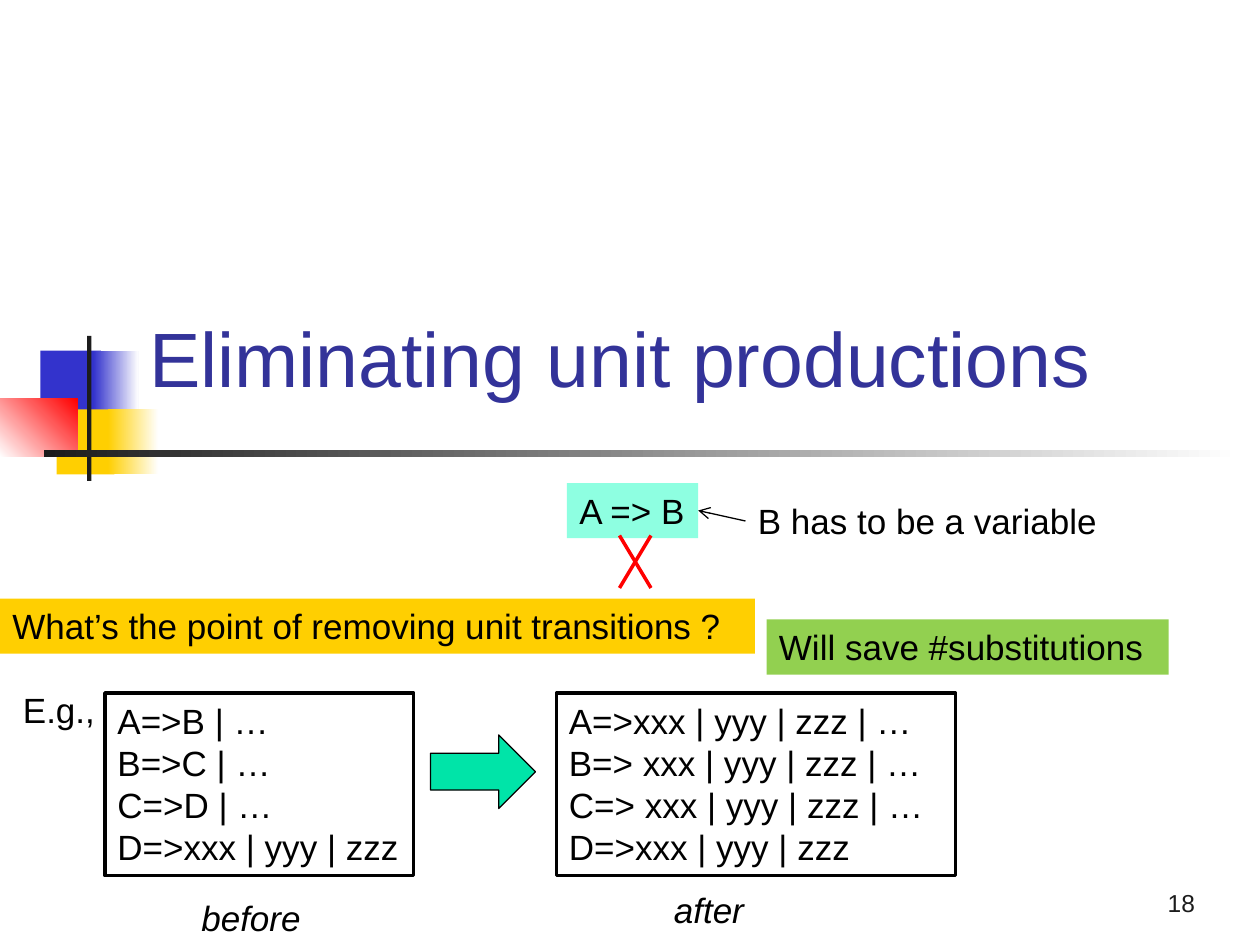
from lxml.etree import SubElement
from pptx import Presentation
from pptx.dml.color import RGBColor
from pptx.enum.shapes import MSO_CONNECTOR as Connector, MSO_SHAPE as Shape
from pptx.enum.text import MSO_ANCHOR as Anchor, MSO_AUTO_SIZE as AutoSize, PP_ALIGN as Align
from pptx.oxml.ns import qn
from pptx.util import Inches, Pt

# Grid of 120 columns by 90 rows, twelve to the inch
CELL = Inches(1) / 12
LINE_ROWS = 5.25  # height of a one-line label
TITLE_ONLY = 5
BLACK, WHITE, DARK = "000000", "FFFFFF", "1C1C1C"
BLUE, GOLD, RED = "3333CC", "FFCF01", "FF0000"


def color(hex_value):
    return RGBColor.from_string(hex_value)


def grid(*cells):
    return [round(cell * CELL) for cell in cells]


def paint(shape, fill, outline=None, width=0.75):
    """Fill with one colour, or with a (start, end, angle) gradient."""
    if isinstance(fill, tuple):
        *ends, angle = fill
        shape.fill.gradient()
        shape.fill.gradient_angle = angle
        for stop, end in zip(shape.fill.gradient_stops, ends):
            stop.color.rgb = color(end)
    elif fill:
        shape.fill.solid()
        shape.fill.fore_color.rgb = color(fill)
    if outline:
        shape.line.color.rgb = color(outline)
        shape.line.width = Pt(width)
    else:
        shape.line.fill.background()


def add_block(slide, box, fill, kind=Shape.RECTANGLE, outline=None):
    block = slide.shapes.add_shape(kind, *grid(*box))
    block.shadow.inherit = False
    paint(block, fill, outline)


def write(frame, lines, size=20, ink=BLACK, italic=False,
          align=Align.LEFT, anchor=Anchor.TOP):
    frame_format = {"word_wrap": True, "auto_size": AutoSize.NONE,
                    "vertical_anchor": anchor}
    for name, value in frame_format.items():
        setattr(frame, name, value)
    frame.text = "\n".join(lines)
    font_format = {"name": "Arial", "size": Pt(size), "italic": italic, "bold": False}
    for paragraph in frame.paragraphs:
        paragraph.alignment = align
        font = paragraph.runs[0].font
        for name, value in font_format.items():
            setattr(font, name, value)
        font.color.rgb = color(ink)


def add_label(slide, box, *lines, fill=None, outline=None, **text_format):
    label = slide.shapes.add_textbox(*grid(*box))
    paint(label, fill, outline, width=2)
    write(label.text_frame, lines, **text_format)
    if text_format.get("align") != Align.RIGHT:
        label.text_frame.margin_right = 0  # room for tightly fitted lines
    return label


def add_line(slide, ends, ink, width):
    line = slide.shapes.add_connector(Connector.STRAIGHT, *grid(*ends))
    line.line.color.rgb = color(ink)
    line.line.width = Pt(width)
    SubElement(line._element.spPr, qn("a:effectLst"))
    return line


def add_decoration(slide):
    # Overlapping squares, then the two dark rules
    for box, fill in (
        ((3.84, 33.4, 5.76, 6.2), BLUE),
        ((8.9, 33.4, 4.3, 6.2), (BLUE, WHITE, 0)),
        ((5.4, 39, 5.5, 6.2), GOLD),
        ((10.3, 39, 4.8, 6.2), (GOLD, WHITE, 0)),
        ((0, 38, 7.4, 5.5), (WHITE, RED, 45)),
        ((8.3, 32, 0.4, 13.8), DARK),
        ((4.2, 42.9, 114, 0.6), (DARK, WHITE, 0)),
    ):
        add_block(slide, box, fill)


def add_title(slide):
    title = slide.shapes.title
    title.left, title.top, title.width, title.height = grid(13, 24, 102, 15)
    write(title.text_frame, ["Eliminating unit productions"], size=44,
          ink="333399", anchor=Anchor.BOTTOM)


def add_unit_rule(slide):
    unit_rule = add_label(slide, (54, 46, 12.5, LINE_ROWS), "A => B", fill="8EFFE1")
    # Red cross below the rule
    left, right, top, bottom = 59, 62, 51, 56
    add_line(slide, (left, top, right, bottom), RED, 2)
    add_line(slide, (right, top, left, bottom), RED, 2)
    # Remark pointing at the rule
    remark = add_label(slide, (71, 47, 35, LINE_ROWS), "B has to be a variable")
    pointer = add_line(slide, (71, 49.6, 66.5, 48.6), BLACK, 0.75)
    pointer.begin_connect(remark, 1)
    pointer.end_connect(unit_rule, 3)
    SubElement(pointer.line._get_or_add_ln(), qn("a:tailEnd"), type="arrow")


def add_example(slide):
    add_label(slide, (1, 65, 10.2, LINE_ROWS), "E.g.,")
    grammar_format = {"fill": WHITE, "outline": BLACK}
    add_label(slide, (10, 66, 29.4, 17.4), "A=>B | …", "B=>C | …", "C=>D | …",
              "D=>xxx | yyy | zzz", **grammar_format)
    add_block(slide, (41, 70, 10, 7), "00E4A8", Shape.RIGHT_ARROW, BLACK)
    add_label(slide, (53, 66, 38, 17.4), "A=>xxx | yyy | zzz | …",
              "B=> xxx | yyy | zzz | …", "C=> xxx | yyy | zzz | …",
              "D=>xxx | yyy | zzz", **grammar_format)
    add_label(slide, (18, 84.75, 12, LINE_ROWS), "before", italic=True)
    add_label(slide, (63, 84, 9.1, LINE_ROWS), "after", italic=True)


def main():
    deck = Presentation()
    deck.slide_width, deck.slide_height = grid(120, 90)
    slide = deck.slides.add_slide(deck.slide_layouts[TITLE_ONLY])

    add_decoration(slide)
    add_label(slide, (90, 82, 25, 6), "18", size=14, ink=DARK,
              align=Align.RIGHT, anchor=Anchor.BOTTOM)
    add_title(slide)
    add_unit_rule(slide)
    # Question and answer
    add_label(slide, (0, 57, 71.9, LINE_ROWS),
              "What’s the point of removing unit transitions ?", fill=GOLD)
    add_label(slide, (73, 59, 38.3, LINE_ROWS), "Will save #substitutions", fill="92D050")
    add_example(slide)

    deck.save("out.pptx")


if __name__ == "__main__":
    main()
